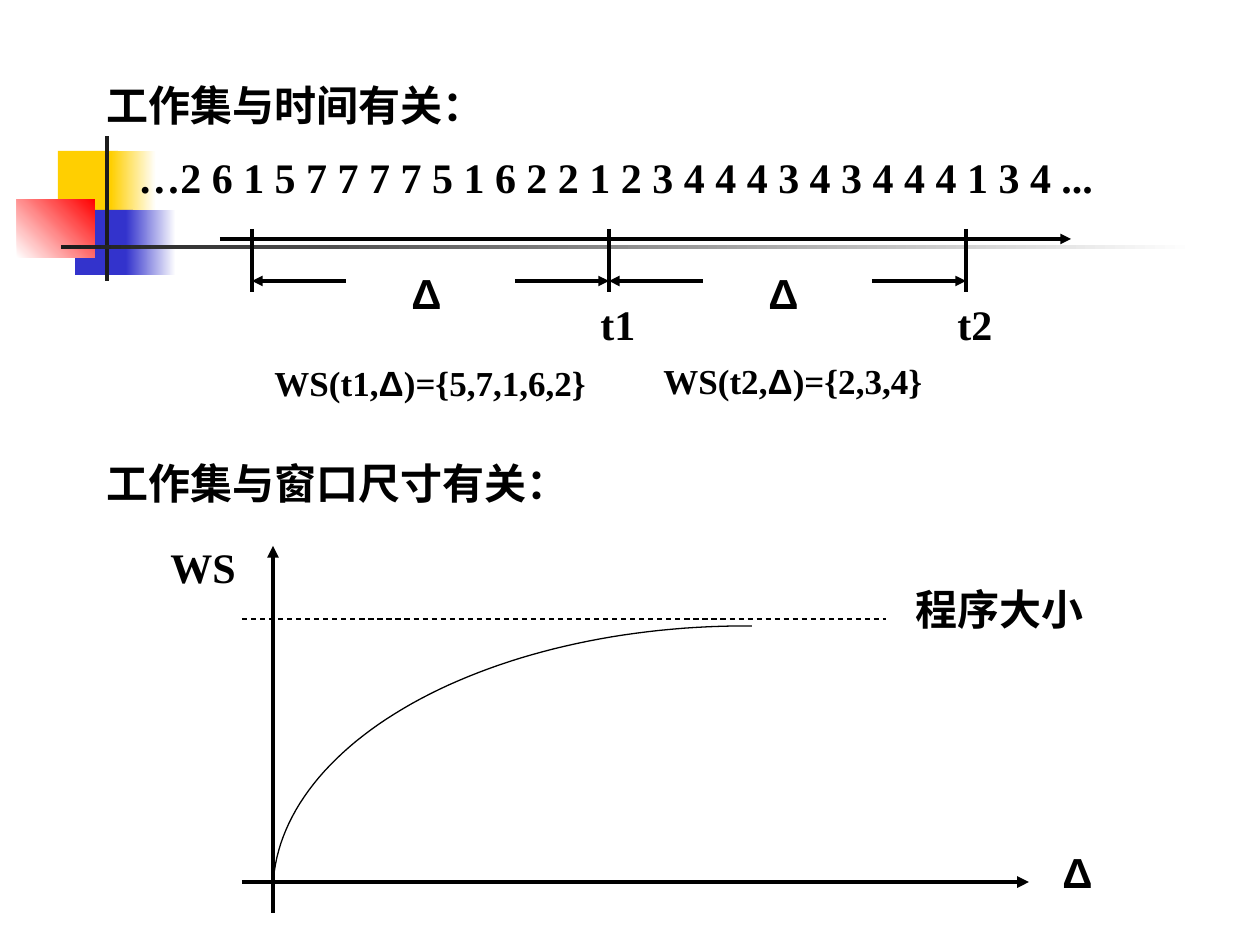
"""Build a slide on how a working set depends on time and on window size."""
from math import cos, pi, sin

from lxml.etree import SubElement
from pptx import Presentation
from pptx.dml.color import RGBColor
from pptx.enum.shapes import MSO_CONNECTOR as CONNECTOR, MSO_SHAPE as SHAPE
from pptx.enum.text import MSO_AUTO_SIZE as AUTO_SIZE
from pptx.oxml.ns import qn
from pptx.util import Pt

PX = 914400 / 126
COLORS = {"black": "000000", "dark": "1C1C1C", "white": "FFFFFF",
          "yellow": "FFCF01", "blue": "3333CC", "red": "FF0000"}
RGB = {name: RGBColor.from_string(value) for name, value in COLORS.items()}
SERIF, SANS = "Times New Roman", "Arial"

presentation = Presentation()
presentation.slide_width, presentation.slide_height = round(1260 * PX), round(945 * PX)
shapes = presentation.slides.add_slide(presentation.slide_layouts[6]).shapes


def add_line(start, end, width, arrow=False, dashed=False):
    line = shapes.add_connector(CONNECTOR.STRAIGHT, *(round(v * PX) for v in start + end))
    line.line.width = Pt(width)
    line.line.color.rgb = RGB["black"]
    outline = line.line._get_or_add_ln()
    if dashed:
        SubElement(outline, qn("a:prstDash"), val="dash")
    if arrow:
        SubElement(outline, qn("a:tailEnd"), type="triangle")
    SubElement(line._element.spPr, qn("a:effectLst"))


def add_text(left, top, width, height, runs, size=24):
    box = shapes.add_textbox(*(round(v * PX) for v in (left, top, width, height)))
    frame = box.text_frame
    frame.word_wrap = True
    frame.auto_size = AUTO_SIZE.SHAPE_TO_FIT_TEXT
    for text, font_name in runs:
        run = frame.paragraphs[0].add_run()
        run.text = text
        run.font.color.rgb = RGB["black"]
        for key, value in {"name": font_name, "size": Pt(size), "bold": True}.items():
            setattr(run.font, key, value)


decorations = [
    ((58, 151, 60, 66), ["yellow"], 0),
    ((111, 151, 45, 66), ["yellow", "white"], 0),
    ((75, 210, 58, 65), ["blue"], 0),
    ((126, 210, 50, 65), ["blue", "white"], 0),
    ((17, 199, 78, 59), ["white", "red"], 45),
    ((105, 136, 4, 145), ["dark"], 0),
    ((61, 245, 1134, 4), ["dark", "white"], 0),
]
for bounds, colors, angle in decorations:
    shape = shapes.add_shape(SHAPE.RECTANGLE, *(round(v * PX) for v in bounds))
    shape.shadow.inherit = False
    shape.line.fill.background()
    if len(colors) == 1:
        shape.fill.solid()
        shape.fill.fore_color.rgb = RGB[colors[0]]
    else:
        shape.fill.gradient()
        shape.fill.gradient_angle = angle
        for stop, color in zip(shape.fill.gradient_stops, colors):
            stop.color.rgb = RGB[color]

add_text(94, 73, 1018, 63, [("工作集与时间有关：", SERIF)])
references = "2 6 1 5 7 7 7 7 5 1 6 2 2 1 2 3 4 4 4 3 4 3 4 4 4 1 3 4"
add_text(126, 145, 1061, 63, [(f"…{references} ...", SERIF)])

add_line((220, 239), (1071, 239), 2, arrow=True)
first_tick, window = 252, 357
for index in range(3):
    tick = first_tick + index * window
    add_line((tick, 229), (tick, 292), 1.75)

working_sets = [("t1", "5,7,1,6,2", 262, 355), ("t2", "2,3,4", 651, 353)]
for index, (time, pages, left, top) in enumerate(working_sets):
    window_start = first_tick + index * window
    window_end = window_start + window
    add_line((window_start + 94, 281), (window_start, 281), 2, arrow=True)
    add_line((window_end - 94, 281), (window_end, 281), 2, arrow=True)
    add_text(window_start + 147, 261, 73, 63, [("Δ", SANS)])
    add_text(window_end - 21, 292, 63, 63, [(time, SERIF)])
    formula = [(f"WS({time},", SERIF), ("Δ", SANS), (f")={{{pages}}}", SERIF)]
    add_text(left, top, 347, 55, formula, size=20)

add_text(94, 451, 1018, 63, [("工作集与窗口尺寸有关：", SERIF)])
add_line((242, 882), (1029, 882), 2.25, arrow=True)
add_line((273, 913), (273, 546), 2.25, arrow=True)
add_line((242, 619), (886, 619), 0.75, dashed=True)
add_text(903, 577, 242, 63, [("程序大小", SERIF)])
add_text(1050, 840, 94, 63, [("Δ", SANS)])
add_text(158, 535, 126, 63, [("WS", SERIF)])

center_x, center_y, radius_x, radius_y, steps = 746, 892, 473, 266, 60
angles = [pi / 2 * step / steps for step in range(steps + 1)]
curve_points = [((center_x - radius_x * sin(angle)) * PX,
                 (center_y - radius_y * cos(angle)) * PX) for angle in angles]
builder = shapes.build_freeform(752 * PX, (center_y - radius_y) * PX)
builder.add_line_segments(curve_points, close=False)
curve = builder.convert_to_shape()
curve.shadow.inherit = False
curve.fill.background()
curve.line.width = Pt(0.75)
curve.line.color.rgb = RGB["black"]

presentation.save("out.pptx")
